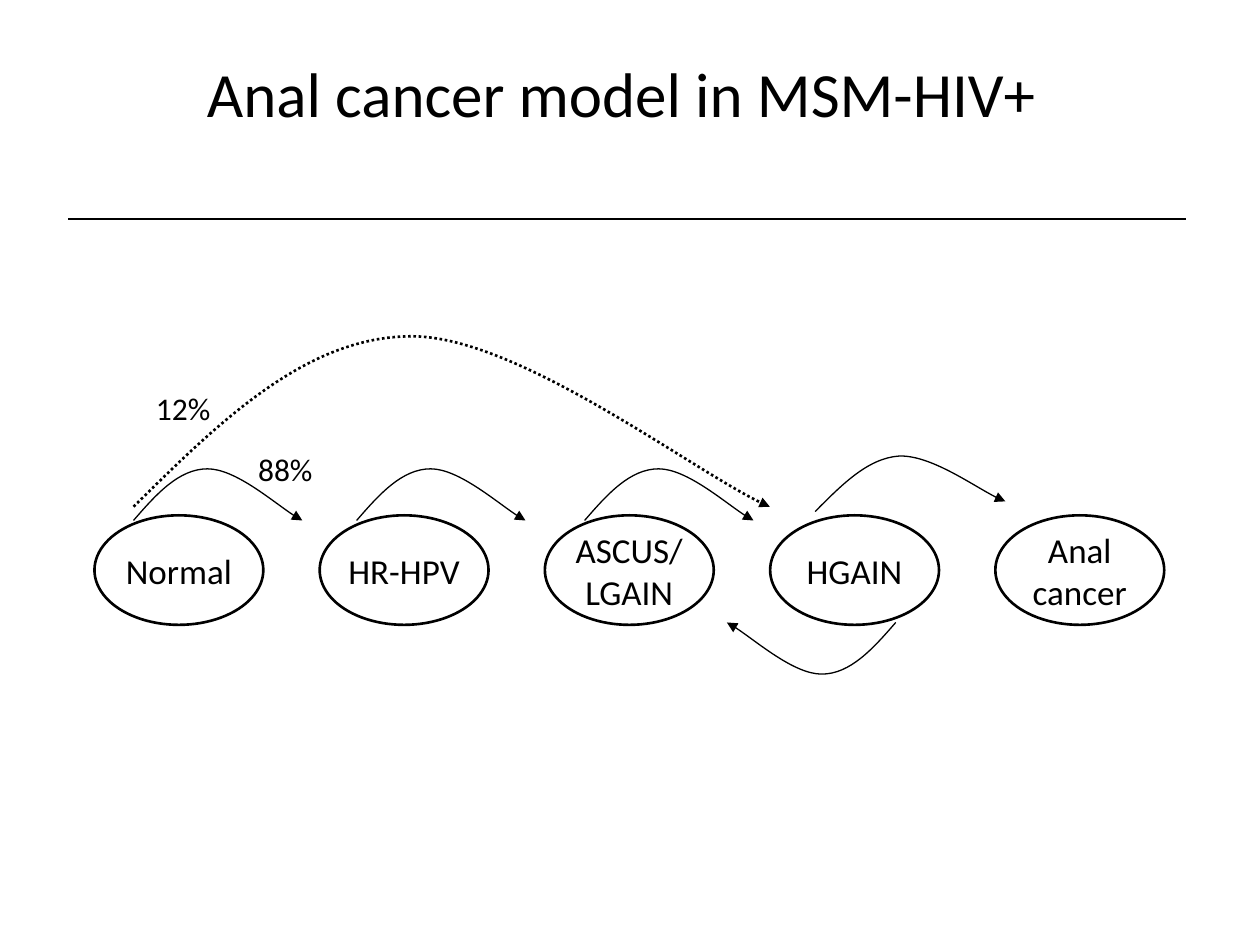
from pptx import Presentation
from pptx.dml.color import RGBColor
from pptx.enum import dml, shapes, text
from pptx.oxml import ns, xmlchemy
from pptx.util import Pt

BLACK = "000000"
TITLE_ONLY_LAYOUT = 5
STATES = ["Normal", "HR-HPV", "ASCUS/\nLGAIN", "HGAIN", "Anal\ncancer"]

# Bezier points relative to the start of each curve: two controls, end, repeated.
STEP_CURVE = [(13, -15), (26, -29.5), (42.3, -29.5),
              (58.3, -29.5), (86.4, -5), (96.5, 0)]
CANCER_CURVE = [(15, -15), (30, -30.5), (48, -31.7),
                (66, -32.4), (98, -9.4), (108.7, -5.8)]
DIRECT_CURVE = [(49, -48.5), (98.6, -97.4), (159, -97.4),
                (219.6, -97.4), (325.4, -16), (363.6, 0)]


def colour(hex_value):
    return RGBColor.from_string(hex_value)


def style_text(frame, size, alignment, anchor, wrap):
    frame.word_wrap = wrap
    frame.vertical_anchor = anchor
    for paragraph in frame.paragraphs:
        paragraph.alignment = alignment
        for run in paragraph.runs:
            run.font.name = "Calibri"
            run.font.size = Pt(size)
            run.font.color.rgb = colour(BLACK)


def style_line(line, width):
    line.color.rgb = colour(BLACK)
    line.width = Pt(width)


def set_title(slide, words):
    title = slide.shapes.title
    title.left, title.top, title.width, title.height = Pt(49), Pt(8), Pt(612), Pt(90)
    title.text_frame.text = words
    title.text_frame.auto_size = text.MSO_AUTO_SIZE.NONE
    style_text(title.text_frame, 36, text.PP_ALIGN.CENTER, text.MSO_ANCHOR.MIDDLE, True)


def add_rule(slide, left, right, top):
    rule = slide.shapes.add_connector(
        shapes.MSO_CONNECTOR.STRAIGHT, Pt(left), Pt(top), Pt(right), Pt(top))
    style_line(rule.line, 1)
    rule._element.spPr.append(xmlchemy.OxmlElement("a:effectLst"))


def add_state(slide, words, left):
    state = slide.shapes.add_shape(
        shapes.MSO_SHAPE.OVAL, Pt(left), Pt(294.5), Pt(96.5), Pt(62.6))
    state.shadow.inherit = False
    state.fill.background()
    style_line(state.line, 1.5)
    state.text_frame.text = words
    style_text(state.text_frame, 20, text.PP_ALIGN.CENTER, text.MSO_ANCHOR.MIDDLE, False)


def add_label(slide, words, left, top):
    label = slide.shapes.add_textbox(Pt(left), Pt(top), Pt(46), Pt(29))
    label.text_frame.text = words
    label.text_frame.auto_size = text.MSO_AUTO_SIZE.SHAPE_TO_FIT_TEXT
    style_text(label.text_frame, 18, text.PP_ALIGN.LEFT, text.MSO_ANCHOR.TOP, False)


def bend_segments(curve):
    """Turn each three straight segments of a freeform into one cubic Bezier."""
    segments = list(curve._element.iter(ns.qn("a:lnTo")))
    for first in range(0, len(segments), 3):
        bezier = xmlchemy.OxmlElement("a:cubicBezTo")
        segments[first].addprevious(bezier)
        for segment in segments[first:first + 3]:
            bezier.append(segment[0])
            segment.getparent().remove(segment)


def add_curved_arrow(slide, x, y, offsets, width=0.75, direction=1, dash=None):
    """Draw a curve from (x, y); direction -1 turns it by half a circle."""
    builder = slide.shapes.build_freeform(Pt(x), Pt(y))
    builder.add_line_segments(
        [(Pt(x + direction * dx), Pt(y + direction * dy)) for dx, dy in offsets],
        close=False)
    curve = builder.convert_to_shape()
    bend_segments(curve)
    curve.shadow.inherit = False
    curve.fill.background()
    style_line(curve.line, width)
    if dash:
        curve.line.dash_style = dash
    arrowhead = xmlchemy.OxmlElement("a:tailEnd")
    arrowhead.set("type", "triangle")
    curve._element.spPr.find(ns.qn("a:ln")).append(arrowhead)


def main():
    presentation = Presentation()
    presentation.slide_width, presentation.slide_height = Pt(720), Pt(540)
    slide = presentation.slides.add_slide(presentation.slide_layouts[TITLE_ONLY_LAYOUT])
    set_title(slide, "Anal cancer model in MSM-HIV+")
    add_rule(slide, 39, 677.5, 125.3)

    for index, words in enumerate(STATES):
        add_state(slide, words, 54 + 128.7 * index)

    for x in (76.3, 203.8, 334.1):
        add_curved_arrow(slide, x, 297.4, STEP_CURVE)
    add_curved_arrow(slide, 511.9, 355.7, STEP_CURVE, direction=-1)
    add_curved_arrow(slide, 465.8, 292.3, CANCER_CURVE)
    add_curved_arrow(slide, 76.3, 289.6, DIRECT_CURVE, width=1.5,
                     dash=dml.MSO_LINE.ROUND_DOT)

    add_label(slide, "88%", 140.4, 253.5)
    add_label(slide, "12%", 82, 219)
    presentation.save("out.pptx")


if __name__ == "__main__":
    main()
